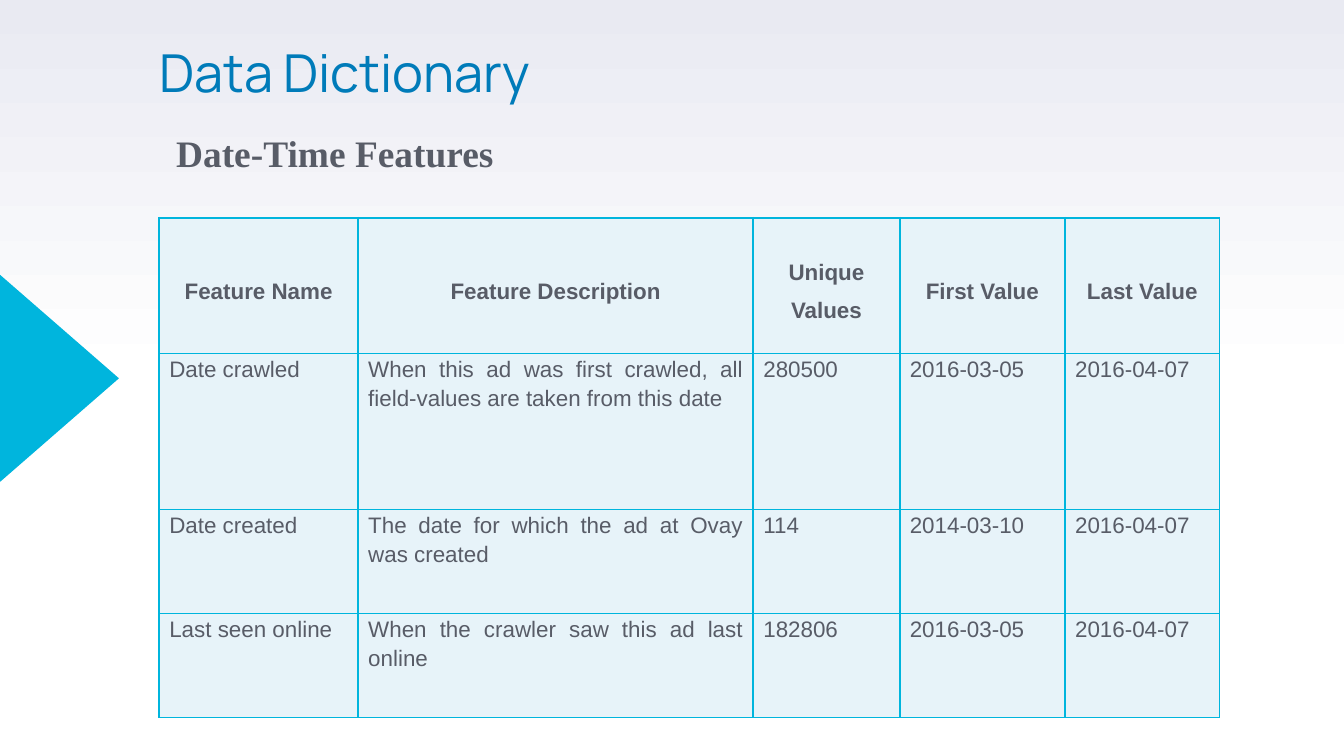
from dataclasses import dataclass

from lxml.etree import SubElement
from pptx import Presentation
from pptx.dml.color import RGBColor
from pptx.enum.shapes import MSO_SHAPE
from pptx.enum.text import MSO_ANCHOR, MSO_AUTO_SIZE, PP_ALIGN
from pptx.oxml.ns import qn
from pptx.util import Pt


@dataclass(frozen=True)
class Theme:
    accent: str = "00B5DD"
    title: str = "007BB9"
    text: str = "585C67"
    cell: str = "E7F3F9"
    white: str = "FFFFFF"
    haze: str = "E9EAF2"
    title_size: int = 28
    subtitle_size: int = 20
    table_size: int = 12


PX = 4572
LEFT = 237 * PX
theme = Theme()


def format_text(frame, font, size, color, bold, spacing, align):
    frame.word_wrap = True
    for paragraph in frame.paragraphs:
        paragraph.alignment = align
        paragraph.line_spacing = spacing
        for run in paragraph.runs:
            run.font.name = font
            run.font.size = Pt(size)
            run.font.bold = bold
            run.font.color.rgb = RGBColor.from_string(color)


def add_borders(cell):
    properties = cell._tc.get_or_add_tcPr()
    for index, side in enumerate("LRTB"):
        line = SubElement(properties, qn(f"a:ln{side}"), w=str(Pt(1)))
        fill = SubElement(line, qn("a:solidFill"))
        SubElement(fill, qn("a:srgbClr"), val=theme.accent)
        properties.insert(index, line)


presentation = Presentation()
presentation.slide_width = 2000 * PX
presentation.slide_height = 1125 * PX
slide = presentation.slides.add_slide(presentation.slide_layouts[5])

background = slide.background.fill
background.gradient()
background.gradient_angle = 90
for stop, position, color in zip(background.gradient_stops, (0.5, 1), (theme.white, theme.haze)):
    stop.position = position
    stop.color.rgb = RGBColor.from_string(color)

triangle = slide.shapes.add_shape(MSO_SHAPE.ISOSCELES_TRIANGLE, -67 * PX, 474 * PX, 310 * PX, 178 * PX)
triangle.rotation = 90
triangle.shadow.inherit = False
triangle.fill.solid()
triangle.fill.fore_color.rgb = RGBColor.from_string(theme.accent)
triangle.line.fill.background()

title = slide.shapes.title
title.left, title.top, title.width, title.height = LEFT, 30 * PX, 616 * PX, 122 * PX
title.text_frame.text = "Data Dictionary"
title.text_frame.vertical_anchor = MSO_ANCHOR.BOTTOM
format_text(title.text_frame, "Manrope", theme.title_size, theme.title, False, 0.8, PP_ALIGN.LEFT)

subtitle = slide.shapes.add_textbox(LEFT, 187 * PX, 1022 * PX, 84 * PX)
subtitle.text_frame.text = "Date-Time Features"
format_text(subtitle.text_frame, "Times New Roman", theme.subtitle_size, theme.text, True, 1.1, PP_ALIGN.LEFT)

for frame, margin in ((title.text_frame, 0), (subtitle.text_frame, 25)):
    frame.auto_size = MSO_AUTO_SIZE.NONE
    frame.margin_left = margin * PX
    frame.margin_top = frame.margin_right = frame.margin_bottom = 0

features = [
    ("Feature Name", "Feature Description", "Unique Values", "First Value", "Last Value"),
    ("Date crawled", "When this ad was first crawled, all field-values are taken from this date",
     "280500", "2016-03-05", "2016-04-07"),
    ("Date created", "The date for which the ad at Ovay was created", "114", "2014-03-10", "2016-04-07"),
    ("Last seen online", "When the crawler saw this ad last online", "182806", "2016-03-05", "2016-04-07"),
]
column_widths = (296, 588, 218, 246, 230)
row_heights = (202, 232, 155, 155)

table = slide.shapes.add_table(
    len(features), len(column_widths), LEFT, 324 * PX, sum(column_widths) * PX, sum(row_heights) * PX
).table
table.horz_banding = False
for column, width in zip(table.columns, column_widths):
    column.width = width * PX

for row_index, (values, height) in enumerate(zip(features, row_heights)):
    table.rows[row_index].height = height * PX
    header = row_index == 0
    for column_index, value in enumerate(values):
        cell = table.cell(row_index, column_index)
        cell.text_frame.text = value
        cell.margin_left = cell.margin_right = 15 * PX
        cell.margin_top = cell.margin_bottom = 0
        cell.vertical_anchor = MSO_ANCHOR.MIDDLE if header else MSO_ANCHOR.TOP
        cell.fill.solid()
        cell.fill.fore_color.rgb = RGBColor.from_string(theme.cell)
        format_text(cell.text_frame, "Arial", theme.table_size, theme.text, header,
                    1.5 if header else 1.15, PP_ALIGN.CENTER if header else PP_ALIGN.JUSTIFY)
        cell.text_frame.paragraphs[0].space_after = Pt(6 if header else 10)
        add_borders(cell)

presentation.save("out.pptx")
